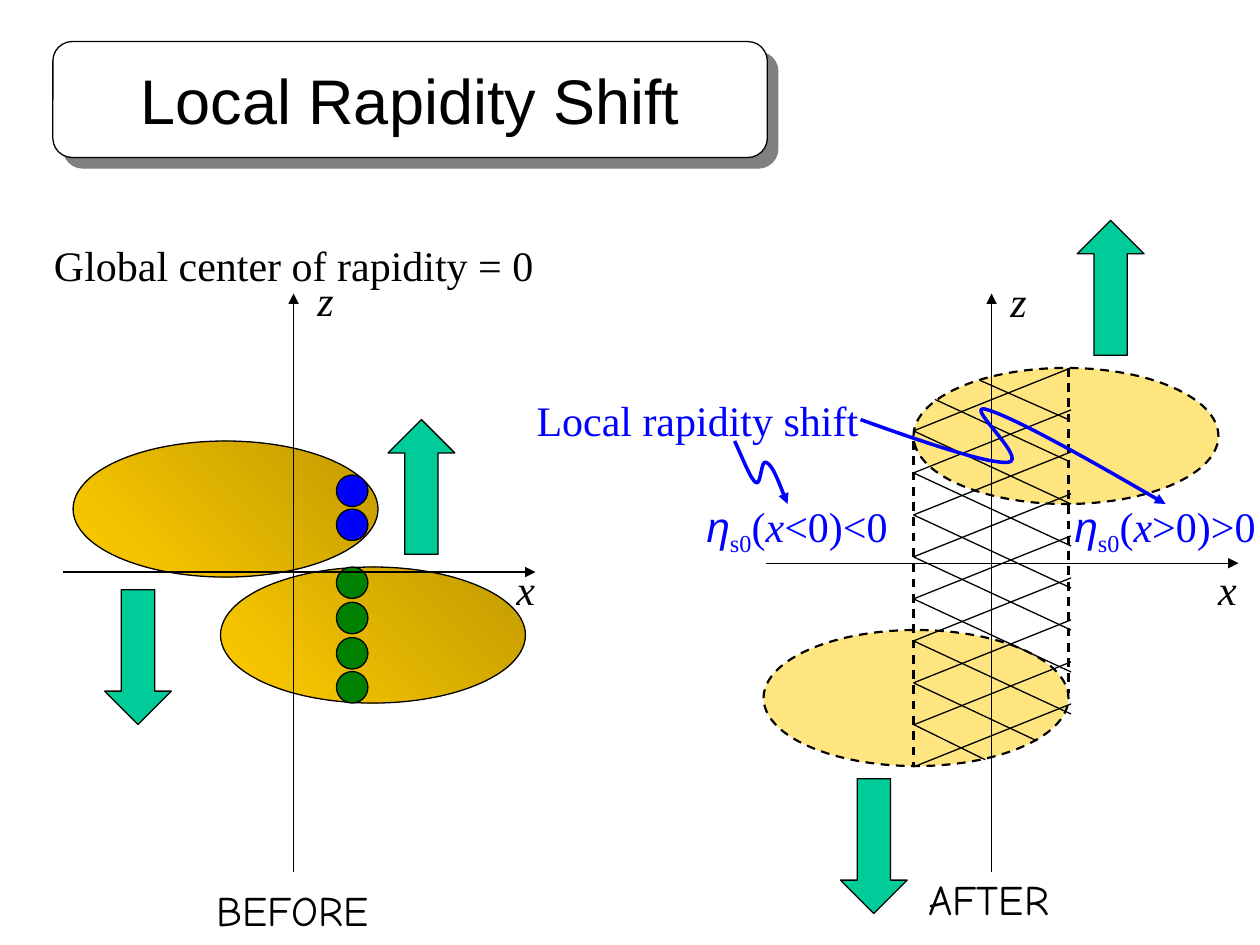
import pptx
import pptx.util
import pptx.dml.color
import pptx.enum.dml
import pptx.enum.shapes
import pptx.enum.text
import pptx.oxml
import pptx.oxml.ns
from dataclasses import dataclass
from lxml import etree

Inches = pptx.util.Inches
Pt = pptx.util.Pt
rgb = pptx.dml.color.RGBColor.from_string
qn = pptx.oxml.ns.qn
SHAPE = pptx.enum.shapes.MSO_SHAPE


@dataclass(frozen=True)
class Theme:
    black: str = "000000"
    white: str = "FFFFFF"
    shadow: str = "808080"
    blue: str = "0000FF"
    green: str = "008000"
    arrow: str = "00CC99"
    gold: str = "FFCC00"
    dark_gold: str = "C29B00"
    title_font: str = "Arial"
    body_font: str = "Times New Roman"
    label_font: str = "Comic Neue"
    title_size: int = 36
    body_size: int = 24
    thin: float = 0.75
    dashed: float = 1.25
    curve: float = 2


T = Theme()
NUCLEUS = (2.42, 1.08)
ARROW = (0.53, 1.07)
PARTICLE = (0.25, 0.25)


def style_line(line, color=T.black, width=T.thin, dash=False, arrow=False):
    line.color.rgb = rgb(color)
    line.width = Pt(width)
    if dash:
        line.dash_style = pptx.enum.dml.MSO_LINE.DASH
    if arrow:
        etree.SubElement(line._get_or_add_ln(), qn("a:tailEnd"), type="triangle")


def add_shape(s, kind, left, top, size, fill, dash=False):
    sp = s.shapes.add_shape(kind, Inches(left), Inches(top), *map(Inches, size))
    sp.shadow.inherit = False
    sp.fill.solid()
    sp.fill.fore_color.rgb = rgb(fill)
    style_line(sp.line, width=T.dashed if dash else T.thin, dash=dash)
    return sp


def add_nucleus(s, left, top):
    sp = add_shape(s, SHAPE.OVAL, left, top, NUCLEUS, T.gold)
    sp.fill.gradient()
    sp.fill.gradient_angle = 225
    for stop, color in zip(sp.fill.gradient_stops, (T.dark_gold, T.gold)):
        stop.color.rgb = rgb(color)


def add_faded_nucleus(s, left, top):
    sp = add_shape(s, SHAPE.OVAL, left, top, NUCLEUS, T.gold, dash=True)
    color = next(sp._element.spPr.iter(qn("a:srgbClr")))
    etree.SubElement(color, qn("a:alpha"), val="50000")


def add_block_arrow(s, left, top, down=False):
    sp = add_shape(s, SHAPE.UP_ARROW, left, top, ARROW, T.arrow)
    sp.rotation = 180 if down else 0


def add_line(s, start, end, width=T.thin, dash=False, arrow=False):
    line = s.shapes.add_connector(pptx.enum.shapes.MSO_CONNECTOR.STRAIGHT,
                                  *map(Inches, start + end))
    style_line(line.line, width=width, dash=dash, arrow=arrow)
    etree.SubElement(line._element.spPr, qn("a:effectLst"))


def add_curve(s, points):
    """Draw Bezier segments: a start point, then three points per segment."""
    pts = [(Inches(x), Inches(y)) for x, y in points]
    builder = s.shapes.build_freeform(*pts[0])
    builder.add_line_segments(pts[1:], close=False)
    sp = builder.convert_to_shape()
    sp.shadow.inherit = False
    sp.fill.background()
    style_line(sp.line, T.blue, T.curve, arrow=True)
    outline = next(sp._element.iter(qn("a:path")))
    steps = outline.findall(qn("a:lnTo"))
    for i in range(0, len(steps), 3):
        bezier = etree.SubElement(outline, qn("a:cubicBezTo"))
        for step in steps[i:i + 3]:
            bezier.append(step[0])
            outline.remove(step)


def add_run(p, text, color=T.black, font=T.body_font, size=T.body_size,
            italic=False, sub=False):
    r = p.add_run()
    r.text = text
    r.font.name = font
    r.font.size = Pt(size)
    r.font.italic = italic
    r.font.color.rgb = rgb(color)
    if sub:
        r.font._element.set("baseline", "-25000")


def add_text(s, left, top, width, height=0.5):
    tb = s.shapes.add_textbox(*map(Inches, (left, top, width, height)))
    tf = tb.text_frame
    tf.word_wrap = False
    tf.auto_size = pptx.enum.text.MSO_AUTO_SIZE.SHAPE_TO_FIT_TEXT
    return tf.paragraphs[0]


def add_shift_formula(s, left, sign):
    p = add_text(s, left, 3.92, 1.65, 0.56)
    add_run(p, "η", T.blue, T.title_font, italic=True)
    add_run(p, "s0", T.blue, sub=True)
    add_run(p, "(", T.blue)
    add_run(p, "x", T.blue, italic=True)
    add_run(p, f"{sign}0){sign}0", T.blue)


def add_title(s, text):
    box = (0.42, 0.33, 5.67, 0.92)
    panel = add_shape(s, SHAPE.ROUNDED_RECTANGLE, *box[:2], box[2:], T.white)
    effects = panel._element.spPr.find(qn("a:effectLst"))
    shadow = etree.SubElement(effects, qn("a:outerShdw"), dist=str(Pt(8.5)),
                              dir="2700000", algn="ctr", rotWithShape="0")
    etree.SubElement(shadow, qn("a:srgbClr"), val=T.shadow)

    title = s.shapes.title
    title.left, title.top, title.width, title.height = map(Inches, box)
    title._element.addprevious(panel._element)
    tf = title.text_frame
    tf.vertical_anchor = pptx.enum.text.MSO_ANCHOR.MIDDLE
    tf.auto_size = pptx.enum.text.MSO_AUTO_SIZE.NONE
    p = tf.paragraphs[0]
    p.alignment = pptx.enum.text.PP_ALIGN.CENTER
    add_run(p, text, font=T.title_font, size=T.title_size)


def add_hatching(s):
    left, right, pitch = 7.25, 8.5, 1 / 3
    for i in range(9):
        add_line(s, (right, 2.92 + i * pitch), (left, 3.42 + i * pitch))
    for i in range(6):
        add_line(s, (left, 3.42 + i * pitch), (right, 4 + i * pitch))
    # Falling lines cut short at the nucleus edges
    for start, end in [((7.42, 3.17), (8.48, 3.66)), ((7.78, 3.02), (8.48, 3.33)),
                       ((7.25, 5.42), (8.23, 5.88)), ((7.25, 5.75), (7.82, 6.03))]:
        add_line(s, start, end)


def main():
    prs = pptx.Presentation()
    prs.slide_width, prs.slide_height = Inches(10), Inches(7.5)
    s = prs.slides.add_slide(prs.slide_layouts[5])
    add_title(s, "Local Rapidity Shift")

    # Nuclei before and after
    add_nucleus(s, 0.58, 3.5)
    add_faded_nucleus(s, 6.06, 5)
    add_faded_nucleus(s, 7.25, 2.92)
    add_nucleus(s, 1.75, 4.5)

    # Vertical axes and directions of motion
    for x in (2.33, 7.87):
        add_line(s, (x, 6.92), (x, 2.33), arrow=True)
    for left, top, down in [(3.08, 3.33, False), (0.83, 4.68, True),
                            (8.55, 1.75, False), (6.67, 6.18, True)]:
        add_block_arrow(s, left, top, down)

    # Overlap region edges
    for x, top in [(7.25, 3.5), (8.48, 2.92)]:
        add_line(s, (x, top), (x, top + 2.58), T.dashed, dash=True)

    # Particles in the overlap column
    for color, tops in [(T.green, (4.5, 4.78, 5.06, 5.33)), (T.blue, (3.77, 4.04))]:
        for top in tops:
            add_shape(s, SHAPE.OVAL, 2.67, top, PARTICLE, color)

    add_hatching(s)

    # Horizontal axes
    add_line(s, (6.08, 4.47), (9.83, 4.47), arrow=True)
    add_line(s, (0.5, 4.54), (4.25, 4.54), arrow=True)

    # Axis names, captions and notes
    for name, left, top, width in [("z", 2.42, 2.13, 0.33), ("z", 7.92, 2.14, 0.33),
                                   ("x", 9.57, 4.42, 0.35), ("x", 4, 4.42, 0.35)]:
        add_run(add_text(s, left, top, width), name, italic=True)
    add_run(add_text(s, 1.62, 6.97, 1.41), "BEFORE", font=T.label_font)
    add_run(add_text(s, 7.27, 6.88, 1.16), "AFTER", font=T.label_font)
    add_run(add_text(s, 0.33, 1.85, 4.1), "Global center of rapidity = 0")
    add_run(add_text(s, 4.16, 3.08, 2.85), "Local rapidity shift", T.blue)
    add_shift_formula(s, 8.43, ">")
    add_shift_formula(s, 5.51, "<")

    # Curved pointers to the formulas
    add_curve(s, [(5.83, 3.5), (5.9, 3.65), (5.96, 3.81), (6, 3.83), (6.04, 3.86),
                  (6.04, 3.64), (6.08, 3.67), (6.13, 3.69), (6.19, 3.85), (6.25, 4)])
    add_curve(s, [(6.83, 3.33), (7.33, 3.51), (7.83, 3.68), (8, 3.67), (8.17, 3.65),
                  (7.63, 3.19), (7.83, 3.25), (8.04, 3.31), (8.65, 3.65), (9.25, 4)])

    prs.save("out.pptx")


if __name__ == "__main__":
    main()
